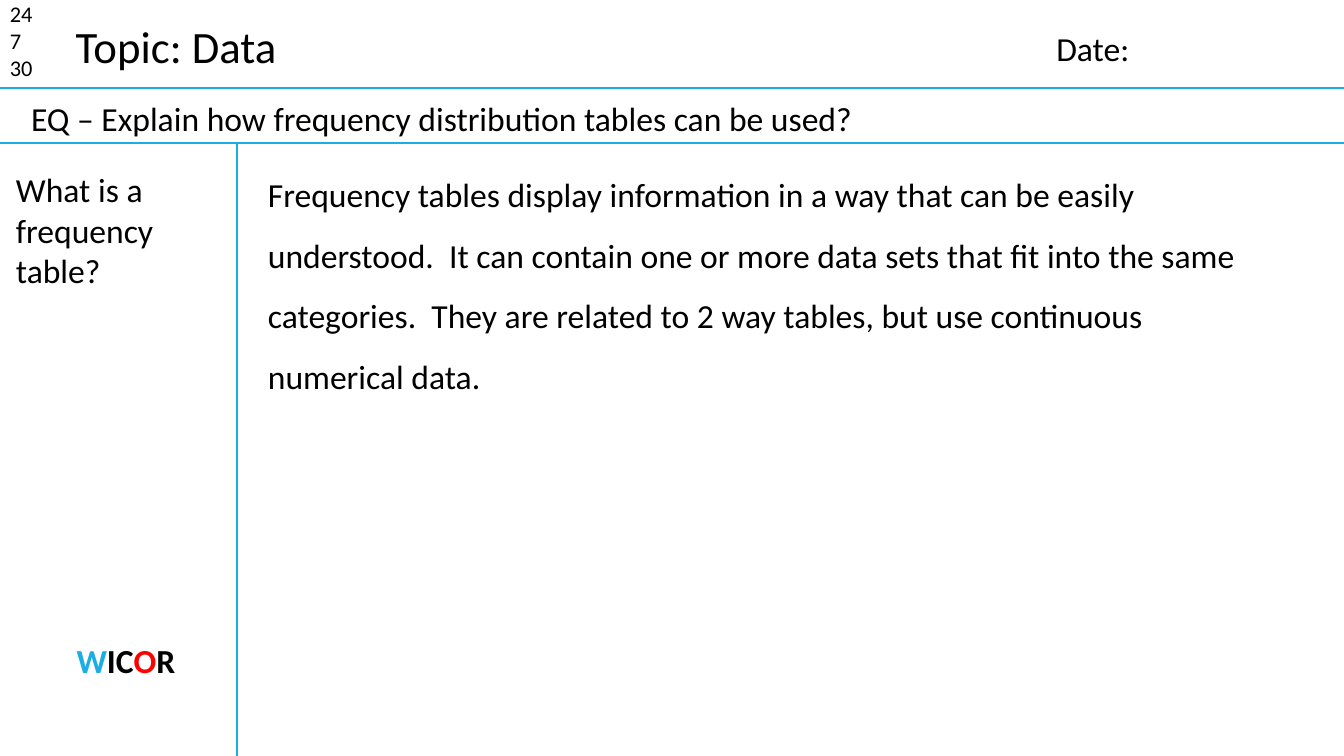
from pptx import Presentation
from pptx.dml.color import RGBColor
from pptx.enum.shapes import MSO_CONNECTOR
from pptx.enum.text import MSO_ANCHOR, MSO_AUTO_SIZE, PP_ALIGN
from pptx.oxml.ns import qn
from pptx.util import Pt
from lxml.etree import SubElement

BLACK = RGBColor(0x00, 0x00, 0x00)
BLUE = RGBColor(0x1C, 0xAD, 0xE4)
RED = RGBColor(0xFF, 0x00, 0x00)
FONT = "Calibri"
WIDTH, HEIGHT = 960, 540
HEADER_H, QUESTION_H, CUE_W = 62.6, 39.6, 169.2


def add_run(p, text, size=24, color=BLACK, bold=False):
    """Append a formatted run to a paragraph."""
    r = p.add_run()
    r.text = text
    r.font.name = FONT
    r.font.size = Pt(size)
    r.font.color.rgb = color
    r.font.bold = bold


def write(sp, box, *lines, align=PP_ALIGN.LEFT, spacing=1.0, wrap=True, **fmt):
    """Place a text shape and write each line, given as text or (text, colour) pairs."""
    sp.left, sp.top, sp.width, sp.height = map(Pt, box)
    tf = sp.text_frame
    tf.word_wrap = wrap
    tf.auto_size = MSO_AUTO_SIZE.NONE
    tf.vertical_anchor = MSO_ANCHOR.TOP
    for i, line in enumerate(lines):
        p = tf.add_paragraph() if i else tf.paragraphs[0]
        p.alignment = align
        p.line_spacing = spacing
        for text, color in [(line, BLACK)] if isinstance(line, str) else line:
            add_run(p, text, color=color, **fmt)


def add_text(s, box, *lines, **fmt):
    """Add a text box holding the given lines."""
    write(s.shapes.add_textbox(*map(Pt, box)), box, *lines, **fmt)


def add_rule(s, x1, y1, x2, y2):
    """Draw a thin blue dividing line."""
    c = s.shapes.add_connector(MSO_CONNECTOR.STRAIGHT, Pt(x1), Pt(y1), Pt(x2), Pt(y2))
    c.line.color.rgb = BLUE
    c.line.width = Pt(1.5)
    SubElement(c._element.spPr, qn("a:effectLst"))


def add_header(s, x, y, w, h):
    """Fill the top band with the numbers, topic and date."""
    add_rule(s, x, y + h, x + w, y + h)
    add_text(s, (x, y - 3.6, 45.4, 65.5), "24", "7", "30", size=16)
    write(s.shapes.title, (x + 46.8, y + 9.4, 160, 46), "Topic: Data", size=32, wrap=False)
    add_text(s, (x + w - 212.6, y + 16.6, 190, 36), "Date:")


def add_question(s, x, y, w, h):
    """Fill the essential question band."""
    add_rule(s, x, y + h, x + w, y + h)
    add_text(s, (x + 15.1, y + 3.6, 613.4, 36),
             "EQ – Explain how frequency distribution tables can be used?")


def add_cues(s, x, y, w, h):
    """Fill the left column with the cue question and the WICOR label."""
    add_rule(s, x + w, y, x + w, y + h)
    add_text(s, (x + 4.3, y + 15.1, w, 94.3), "What is a frequency table?")
    letters = [("W", BLUE), ("IC", BLACK), ("O", RED), ("R", BLACK)]
    add_text(s, (x + 10.1, y + h - 86.4, w - 9.4, 36), letters,
             align=PP_ALIGN.CENTER, bold=True)


def add_notes_area(s, x, y, w, h):
    """Fill the right column with the notes."""
    add_text(s, (x + 15.1, y + 4.3, 712, 225.4),
             "Frequency tables display information in a way that can be easily "
             "understood.  It can contain one or more data sets that fit into the same "
             "categories.  They are related to 2 way tables, but use continuous "
             "numerical data.", spacing=1.5)


def main():
    """Build the slide and save it."""
    prs = Presentation()
    prs.slide_width, prs.slide_height = Pt(WIDTH), Pt(HEIGHT)
    s = prs.slides.add_slide(prs.slide_layouts[5])
    top = HEADER_H + QUESTION_H
    add_header(s, 0, 0, WIDTH, HEADER_H)
    add_question(s, 0, HEADER_H, WIDTH, QUESTION_H)
    add_cues(s, 0, top, CUE_W, HEIGHT - top)
    add_notes_area(s, CUE_W, top, WIDTH - CUE_W, HEIGHT - top)
    prs.save("out.pptx")


if __name__ == "__main__":
    main()
